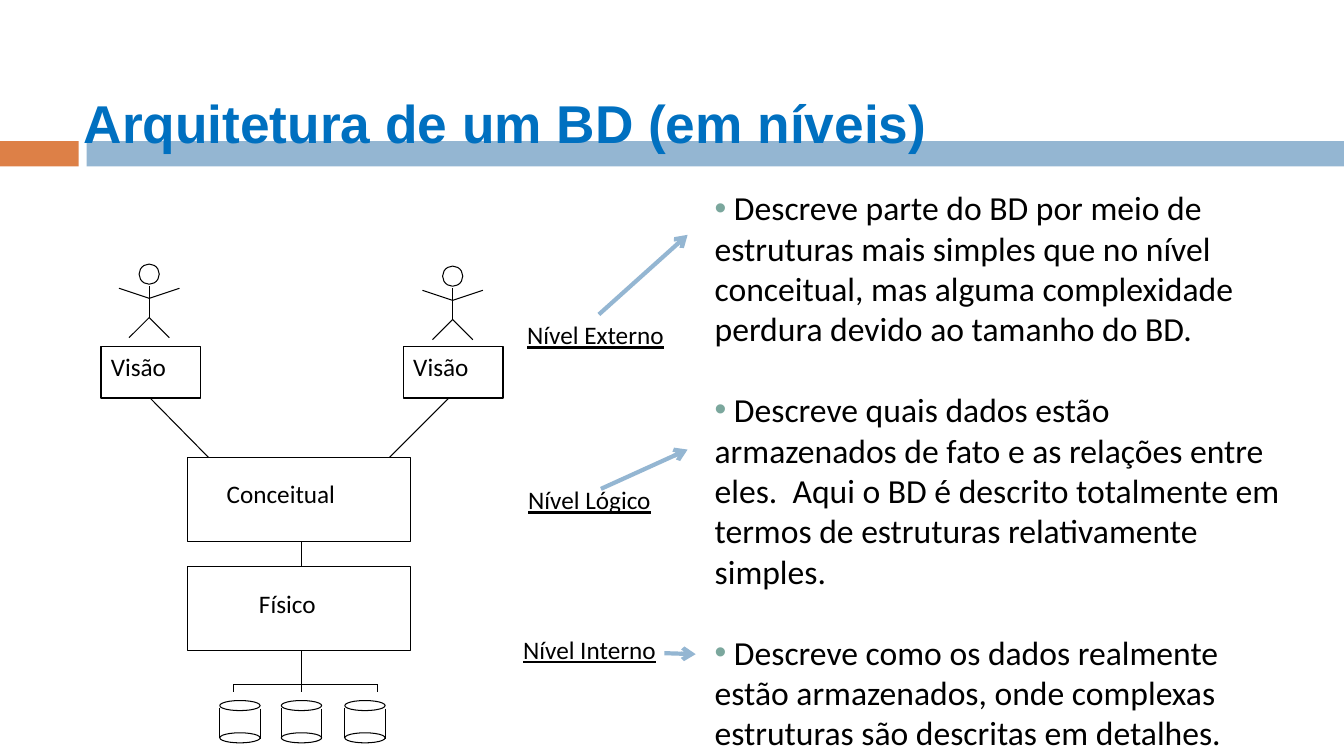
"""Builds the slide on the three-level architecture of a database."""
from pptx import Presentation, util as u
from pptx.dml.color import RGBColor
from pptx.enum import shapes, text
from pptx.oxml import ns
from lxml import etree

COLOURS = {"title": "0070C0", "orange": "DD8047", "blue": "94B6D2",
           "bullet": "7BA79D", "black": "000000", "white": "FFFFFF"}
KINDS = shapes.MSO_SHAPE

deck = Presentation()
deck.slide_width, deck.slide_height = u.Inches(13.33), u.Inches(7.5)
page = deck.slides.add_slide(deck.slide_layouts[5])


def add_figure(kind, place, fill=None, line=None, width=0.75):
    figure = page.shapes.add_shape(kind, *map(u.Inches, place))
    figure.shadow.inherit = False
    if fill:
        figure.fill.solid()
        figure.fill.fore_color.rgb = RGBColor.from_string(COLOURS[fill])
    else:
        figure.fill.background()
    if line:
        figure.line.color.rgb = RGBColor.from_string(COLOURS[line])
        figure.line.width = u.Pt(width)
    else:
        figure.line.fill.background()
    return figure


def write(frame, words, size=18, font="Calibri", colour="black"):
    frame.text = words
    frame.vertical_anchor = text.MSO_ANCHOR.TOP
    for para in frame.paragraphs:
        para.alignment = text.PP_ALIGN.LEFT
        for span in para.runs:
            span.font.size, span.font.name = u.Pt(size), font
            span.font.color.rgb = RGBColor.from_string(COLOURS[colour])


add_figure(KINDS.RECTANGLE, (0, 1.4, 0.78, 0.25), "orange")
add_figure(KINDS.RECTANGLE, (0.86, 1.4, 12.47, 0.25), "blue")

title = page.shapes.title
title.left, title.top, title.width, title.height = map(u.Inches, (0.73, 0.85, 11.5, 0.75))
write(title.text_frame, "Arquitetura de um BD (em níveis)", 38, "Arial", "title")
title.text_frame.auto_size = text.MSO_AUTO_SIZE.NONE
title.text_frame.paragraphs[0].runs[0].font.bold = True
page.shapes[-1]._element.addnext(title._element)

thin_lines = [
    (2.99, 5.37, 2.99, 5.62), (2.99, 6.45, 2.99, 6.87), (2.32, 6.79, 3.74, 6.79),
    (2.32, 6.79, 2.32, 6.87), (3.74, 6.79, 3.74, 6.87),
    (1.49, 3.95, 2.07, 4.54), (4.45, 3.95, 3.86, 4.54)]
level_arrows = [(5.94, 3.12, 6.82, 2.33), (5.96, 4.85, 6.82, 4.46), (6.59, 6.48, 6.9, 6.49)]

for centre, top in [(1.48, 2.62), (4.49, 2.64)]:
    add_figure(KINDS.OVAL, (centre - 0.1, top, 0.2, 0.2), "white", "black")
    thin_lines.append((centre, top + 0.22, centre, top + 0.53))
    for side in (-1, 1):
        thin_lines.append((centre, top + 0.53, centre + side * 0.2, top + 0.73))
        thin_lines.append((centre, top + 0.34, centre + side * 0.3, top + 0.24))

for left in (2.18, 2.79, 3.42):
    for top in (6.95, 7.27):
        add_figure(KINDS.OVAL, (left, top, 0.4, 0.1), "white", "black")
    thin_lines.append((left, 7.02, left, 7.32))
    thin_lines.append((left + 0.4, 7.03, left + 0.4, 7.33))

for top in (4.54, 5.62):
    add_figure(KINDS.RECTANGLE, (1.86, top, 2.21, 0.83), line="black")

for left in (1, 4):
    view = add_figure(KINDS.RECTANGLE, (left, 3.44, 0.99, 0.51), line="black", width=1)
    write(view.text_frame, "Visão")
    view.text_frame.word_wrap = False

for ends in thin_lines + level_arrows:
    is_arrow = ends in level_arrows
    link = page.shapes.add_connector(shapes.MSO_CONNECTOR.STRAIGHT, *map(u.Inches, ends))
    link.line.width = u.Pt(3 if is_arrow else 0.75)
    link.line.color.rgb = RGBColor.from_string(COLOURS["blue" if is_arrow else "black"])
    properties = link._element.spPr
    if is_arrow:
        stroke = properties.find(ns.qn("a:ln"))
        etree.SubElement(stroke, ns.qn("a:tailEnd"), type="arrow")
    etree.SubElement(properties, ns.qn("a:effectLst"))

labels = [
    ("Nível Externo", (5.13, 3.12, 1.61, 0.4), True),
    ("Nível Lógico", (5.14, 4.76, 1.53, 0.4), True),
    ("Nível Interno", (5.09, 6.24, 1.54, 0.4), True),
    ("Conceitual", (2.15, 4.7, 1.64, 0.5), False),
    ("Físico", (2.47, 5.79, 1.02, 0.5), False)]
for words, place, underlined in labels:
    label = page.shapes.add_textbox(*map(u.Inches, place))
    write(label.text_frame, words)
    label.text_frame.word_wrap = False
    label.text_frame.paragraphs[0].runs[0].font.underline = underlined

descriptions = [
    " Descreve parte do BD por meio de estruturas mais simples que no nível conceitual, "
    "mas alguma complexidade perdura devido ao tamanho do BD.",
    " Descreve quais dados estão armazenados de fato e as relações entre eles.  "
    "Aqui o BD é descrito totalmente em termos de estruturas relativamente simples.",
    " Descreve como os dados realmente estão armazenados, onde complexas estruturas "
    "são descritas em detalhes."]
body = page.shapes.add_textbox(*map(u.Inches, (6.99, 1.81, 5.83, 5.76)))
body.text_frame.word_wrap = True
write(body.text_frame, "\n".join(descriptions), 24)
for number, para in enumerate(body.text_frame.paragraphs):
    para.space_before = u.Pt(29 if number else 0)
    settings = para._p.get_or_add_pPr()
    bullet_colour = etree.SubElement(settings, ns.qn("a:buClr"))
    etree.SubElement(bullet_colour, ns.qn("a:srgbClr"), val=COLOURS["bullet"])
    etree.SubElement(settings, ns.qn("a:buFont"), typeface="Arial")
    etree.SubElement(settings, ns.qn("a:buChar"), char="•")

deck.save("out.pptx")
